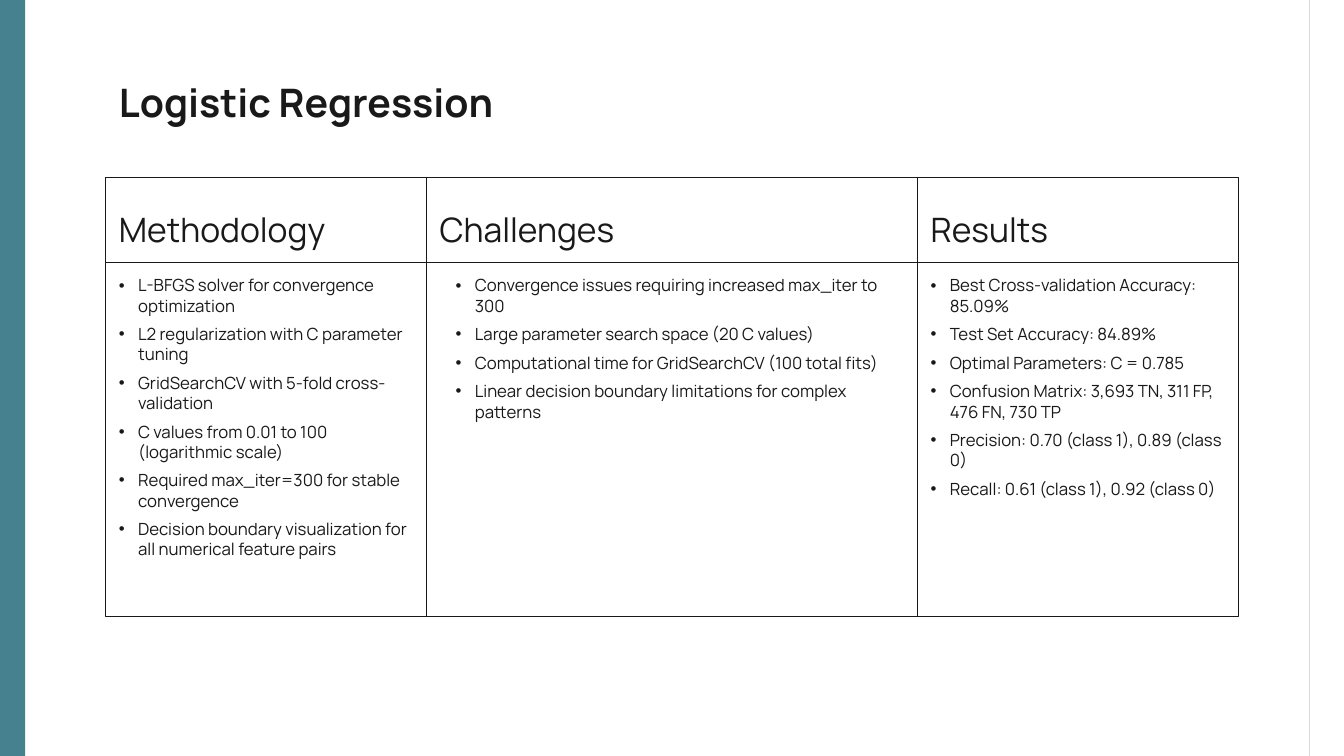
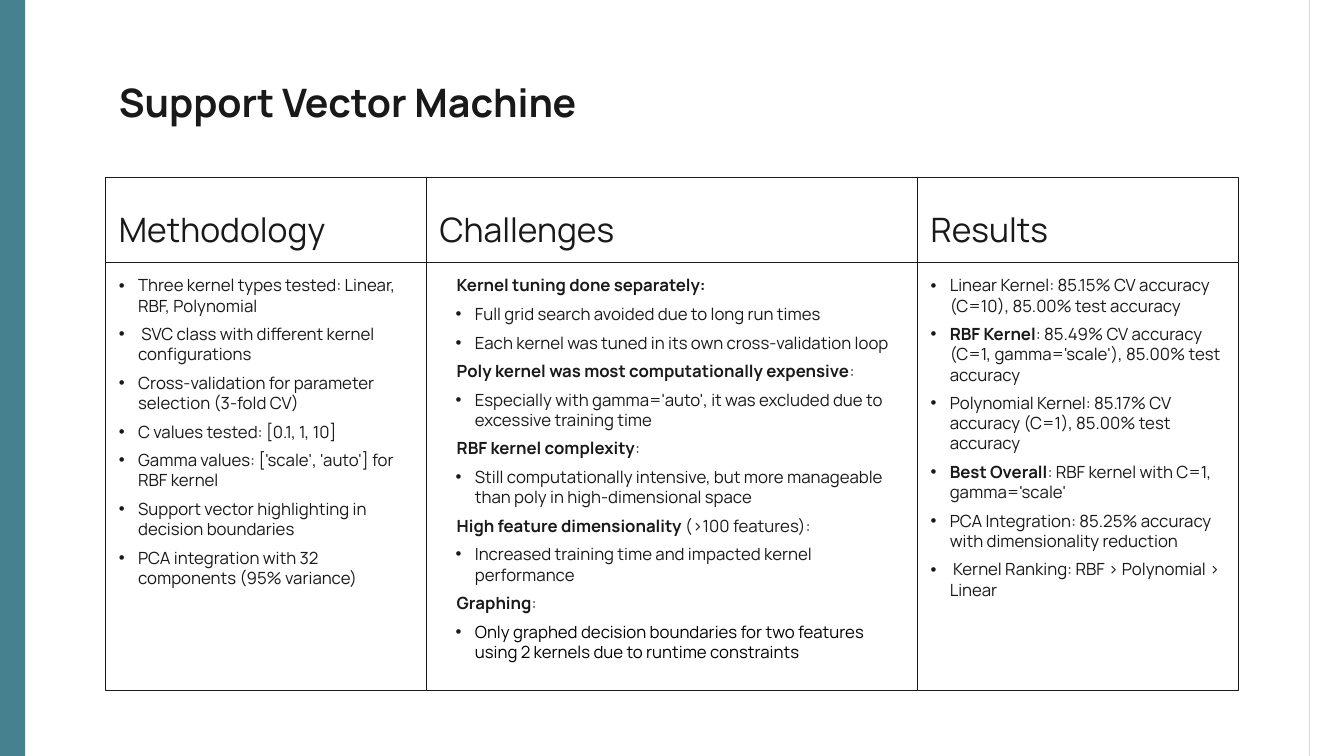
from collections import namedtuple
from copy import deepcopy

from lxml.etree import SubElement
from pptx import Presentation
from pptx.dml.color import RGBColor
from pptx.enum.shapes import MSO_CONNECTOR as CONN, MSO_SHAPE as SHAPE
from pptx.enum.text import MSO_ANCHOR as ANCHOR, MSO_AUTO_SIZE as AUTO, PP_ALIGN as ALIGN
from pptx.oxml.ns import qn
from pptx.util import Emu, Pt

W, H = 1333, 750
FONT = "Manrope"
INK, BLACK, TEAL, GRAY = "191919", "000000", "45818E", "D9D9D9"
LEFT, TOP, HEAD_H = 105, 176, 84
COLUMNS = (("Methodology", 318, 19), ("Challenges", 487, 35), ("Results", 318, 19))

Item = namedtuple("Item", "text bold rest bullet color", defaults=("", True, INK))


def subhead(text, rest=":"):
    """Describe an unbulleted line that opens in bold."""
    return Item(text, True, rest, False)


def lead(text, rest):
    """Describe a bullet that opens in bold."""
    return Item(text, True, rest)


SLIDES = (
    ("Logistic Regression", 352, (
        ("L-BFGS solver for convergence optimization",
         "L2 regularization with C parameter tuning",
         "GridSearchCV with 5-fold cross-validation",
         "C values from 0.01 to 100 (logarithmic scale)",
         "Required max_iter=300 for stable convergence",
         "Decision boundary visualization for all numerical feature pairs"),
        ("Convergence issues requiring increased max_iter to 300",
         "Large parameter search space (20 C values)",
         "Computational time for GridSearchCV (100 total fits)",
         "Linear decision boundary limitations for complex patterns"),
        ("Best Cross-validation Accuracy: 85.09%",
         "Test Set Accuracy: 84.89%",
         "Optimal Parameters: C = 0.785",
         "Confusion Matrix: 3,693 TN, 311 FP, 476 FN, 730 TP",
         "Precision: 0.70 (class 1), 0.89 (class 0)",
         "Recall: 0.61 (class 1), 0.92 (class 0)"))),
    ("Support Vector Machine", 425, (
        ("Three kernel types tested: Linear, RBF, Polynomial",
         " SVC class with different kernel configurations",
         "Cross-validation for parameter selection (3-fold CV)",
         "C values tested: [0.1, 1, 10]",
         "Gamma values: ['scale', 'auto'] for RBF kernel",
         "Support vector highlighting in decision boundaries",
         "PCA integration with 32 components (95% variance)"),
        (subhead("Kernel tuning done separately:", ""),
         "Full grid search avoided due to long run times",
         "Each kernel was tuned in its own cross-validation loop",
         subhead("Poly kernel was most computationally expensive"),
         "Especially with gamma='auto', it was excluded due to excessive training time",
         subhead("RBF kernel complexity"),
         "Still computationally intensive, but more manageable than poly in high-dimensional space",
         subhead("High feature dimensionality", " (>100 features):"),
         "Increased training time and impacted kernel performance",
         subhead("Graphing"),
         Item("Only graphed decision boundaries for two features using 2 kernels "
              "due to runtime constraints", False, color=BLACK)),
        ("Linear Kernel: 85.15% CV accuracy (C=10), 85.00% test accuracy",
         lead("RBF Kernel", ": 85.49% CV accuracy (C=1, gamma='scale'), 85.00% test accuracy"),
         "Polynomial Kernel: 85.17% CV accuracy (C=1), 85.00% test accuracy",
         lead("Best Overall", ": RBF kernel with C=1, gamma='scale'"),
         "PCA Integration: 85.25% accuracy with dimensionality reduction",
         " Kernel Ranking: RBF > Polynomial > Linear"))),
)


def px(n):
    """Turn px, 100 to the inch, into EMU."""
    return Emu(n * 9144)


def rgb(color):
    """Turn a hex string into a colour."""
    return RGBColor.from_string(color)


def adopt(layout, el, shape_id, at):
    """Put an element into the layout under its own id."""
    el.find(".//" + qn("p:cNvPr")).set("id", str(shape_id))
    layout.shapes.element.insert(at, el)


def extend_layout(layout):
    """Give the comparison layout a third heading and list."""
    for ph in list(layout.placeholders):
        idx = ph.placeholder_format.idx
        if idx in (3, 4):
            el = deepcopy(ph.element)
            el.find(".//" + qn("p:ph")).set("idx", str(idx + 2))
            adopt(layout, el, 20 + idx, len(layout.shapes.element))


def add_bands(s, layout):
    """Draw the side band and the right rule and move them to the layout."""
    band = s.shapes.add_shape(SHAPE.RECTANGLE, 0, 0, px(25), px(H))
    band.shadow.inherit = False
    band.fill.solid()
    band.fill.fore_color.rgb = rgb(TEAL)
    band.line.fill.background()
    rule = s.shapes.add_connector(CONN.STRAIGHT, px(1299), 0, px(1299), px(H))
    rule.line.color.rgb = rgb(GRAY)
    rule.line.width = Pt(0.75)
    SubElement(rule.element.spPr, qn("a:effectLst"))
    for i, sp in enumerate((band, rule)):
        adopt(layout, sp.element, 30 + i, 2 + i)


def style_run(r, size, bold=False, color=INK):
    """Set the font of one run."""
    r.font.name, r.font.size, r.font.bold = FONT, Pt(size), bold
    r.font.color.rgb = rgb(color)


def place(sp, x, y, w, h, anchor=ANCHOR.TOP):
    """Move a placeholder to its box and return its text frame."""
    sp.left, sp.top, sp.width, sp.height = map(px, (x, y, w, h))
    tf = sp.text_frame
    tf.word_wrap, tf.auto_size, tf.vertical_anchor = True, AUTO.NONE, anchor
    tf.margin_left = tf.margin_right = tf.margin_top = tf.margin_bottom = px(13)
    return tf


def outline(sp):
    """Give a cell its thin border."""
    sp.line.color.rgb = rgb(INK)
    sp.line.width = Pt(0.75)


def format_paragraph(p, margin=0, indent=0, after=0, bullet=False):
    """Set alignment, spacing, indents and bullet of a paragraph."""
    p.alignment = ALIGN.LEFT
    p.space_before, p.space_after = Pt(0), Pt(after)
    pPr = p._p.get_or_add_pPr()
    pPr.set("marL", str(px(margin)))
    pPr.set("indent", str(px(indent)))
    if bullet:
        SubElement(SubElement(pPr, qn("a:buClr")), qn("a:srgbClr"), val=INK)
        SubElement(pPr, qn("a:buChar"), char="•")
    else:
        SubElement(pPr, qn("a:buNone"))


def fill_line(tf, text, size, bold=False):
    """Write a one-line heading."""
    tf.text = text
    p = tf.paragraphs[0]
    format_paragraph(p)
    style_run(p.runs[0], size, bold)


def fill_list(tf, items, margin):
    """Write bullets and bold subheads."""
    for i, item in enumerate(items):
        if isinstance(item, str):
            item = Item(item, False)
        p = tf.add_paragraph() if i else tf.paragraphs[0]
        p.text = item.text
        if item.bullet:
            format_paragraph(p, margin, -19, 6, True)
        else:
            format_paragraph(p, margin - 18, 0, 6)
        style_run(p.runs[0], 12, item.bold, item.color)
        if item.rest:
            r = p.add_run()
            r.text = item.rest
            style_run(r, 12, False, item.color)


def add_column(head, body, x, y, w, h, title, items, margin):
    """Lay out a heading cell with its list cell below."""
    outline(head)
    outline(body)
    fill_line(place(head, x, y, w, HEAD_H, ANCHOR.BOTTOM), title, 24)
    fill_list(place(body, x, y + HEAD_H, w, h), items, margin)


def add_model_slide(prs, layout, title, list_h, lists):
    """Add one slide about a model."""
    s = prs.slides.add_slide(layout)
    total = sum(w for _, w, _ in COLUMNS)
    fill_line(place(s.shapes.title, LEFT, 65, total, 84), title, 28, True)
    x = LEFT
    for i, ((head, w, margin), items) in enumerate(zip(COLUMNS, lists)):
        add_column(s.placeholders[2 * i + 1], s.placeholders[2 * i + 2],
                   x, TOP, w, list_h, head, items, margin)
        x += w
    return s


def main():
    """Build and save the presentation."""
    prs = Presentation()
    prs.slide_width, prs.slide_height = px(W), px(H)
    layout = prs.slide_layouts.get_by_name("Comparison")
    extend_layout(layout)
    slides = [add_model_slide(prs, layout, *content) for content in SLIDES]
    add_bands(slides[0], layout)
    prs.save("out.pptx")


if __name__ == "__main__":
    main()
